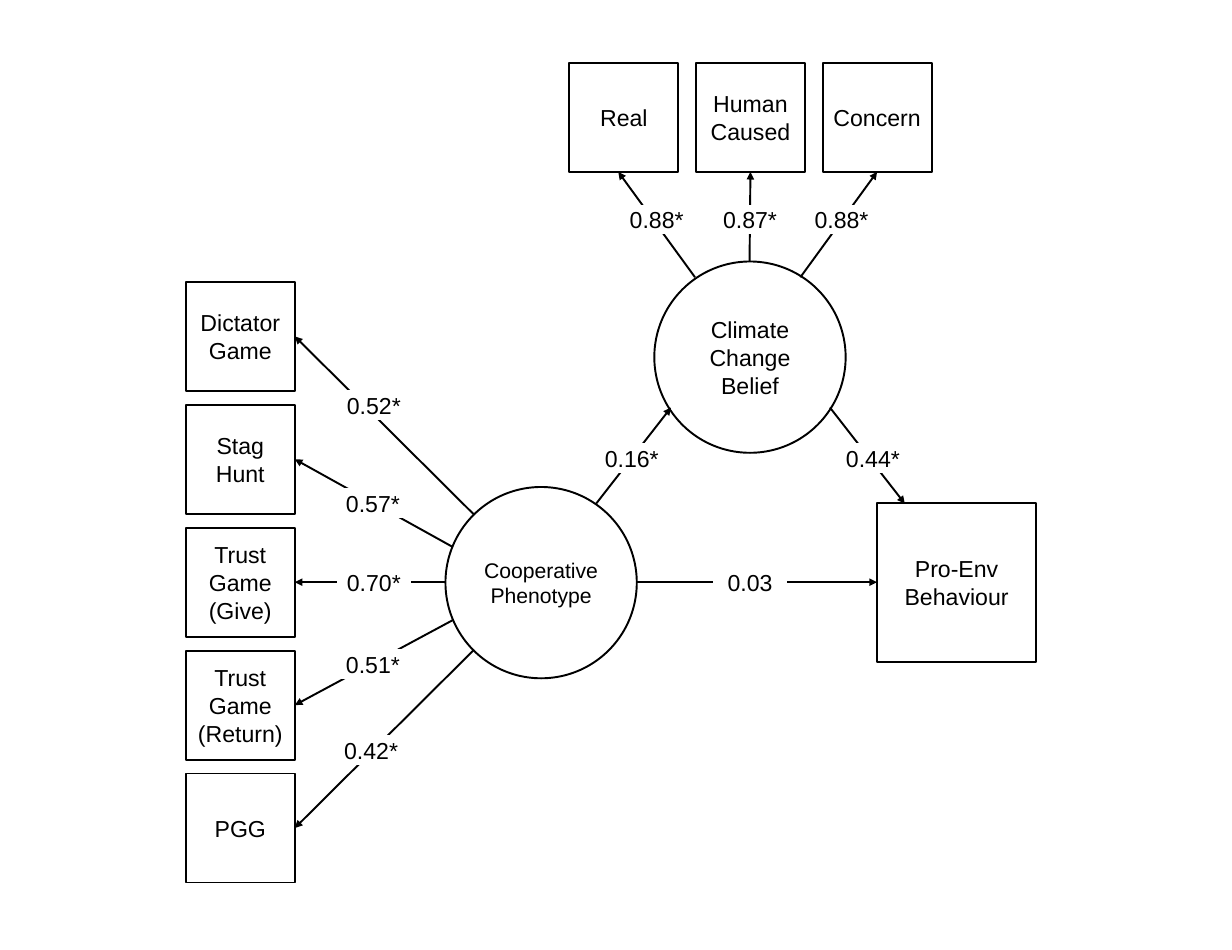
from lxml import etree
from pptx import Presentation
from pptx.dml.color import RGBColor
from pptx.enum.shapes import MSO_CONNECTOR, MSO_SHAPE
from pptx.enum.text import MSO_ANCHOR, PP_ALIGN
from pptx.oxml.ns import qn
from pptx.util import Inches, Pt

RECTANGLE = MSO_SHAPE.RECTANGLE
CIRCLE = MSO_SHAPE.OVAL
STRAIGHT = MSO_CONNECTOR.STRAIGHT
MIDDLE = MSO_ANCHOR.MIDDLE
CENTER = PP_ALIGN.CENTER
LEFT_SIDE, BOTTOM_SIDE, RIGHT_SIDE = 1, 2, 3


def color(hex_string):
    return RGBColor.from_string(hex_string)


class PathDiagram:
    font = "Arial"
    ink = "000000"
    paper = "FFFFFF"
    line_width = 1.5
    box_size = 1.18
    circle_size = 2.07
    label_width, label_height = 0.79, 0.31

    def __init__(self, slide):
        self.slide = slide

    def node(self, kind, text, left, top, width, height, size=18,
             line=ink, line_width=line_width, inset=0.1):
        shape = self.slide.shapes.add_shape(
            kind, Inches(left), Inches(top), Inches(width), Inches(height))
        shape.shadow.inherit = False
        shape.fill.solid()
        shape.fill.fore_color.rgb = color(self.paper)
        shape.line.color.rgb = color(line)
        shape.line.width = Pt(line_width)
        frame = shape.text_frame
        frame.word_wrap = True
        frame.vertical_anchor = MIDDLE
        frame.margin_left = frame.margin_right = Inches(inset)
        frame.margin_top = frame.margin_bottom = Inches(inset / 2)
        frame.text = text
        for paragraph in frame.paragraphs:
            paragraph.alignment = CENTER
            paragraph.font.name = self.font
            paragraph.font.size = Pt(size)
            paragraph.font.color.rgb = color(self.ink)
        return shape

    def box(self, text, left, top, size=box_size):
        return self.node(RECTANGLE, text, left, top, size, size)

    def circle(self, text, left, top, size=18):
        return self.node(CIRCLE, text, left, top, self.circle_size,
                         self.circle_size, size)

    def label(self, text, left, top):
        return self.node(RECTANGLE, text, left, top, self.label_width,
                         self.label_height, line=self.paper, line_width=1,
                         inset=0)

    def arrow(self, start, end, target=None, side=None):
        connector = self.slide.shapes.add_connector(
            STRAIGHT, *(Inches(value) for value in (*start, *end)))
        connector.line.color.rgb = color(self.ink)
        connector.line.width = Pt(self.line_width)
        line = connector.line._get_or_add_ln()
        etree.SubElement(line, qn("a:tailEnd"), type="triangle")
        etree.SubElement(connector._element.spPr, qn("a:effectLst"))
        if target is not None:
            connector.end_connect(target, side)


def main():
    presentation = Presentation()
    presentation.slide_width = Inches(13.33)
    presentation.slide_height = Inches(10.28)
    slide = presentation.slides.add_slide(presentation.slide_layouts[6])
    diagram = PathDiagram(slide)

    # Latent variables and outcome
    diagram.circle("Cooperative\nPhenotype", 4.82, 5.27, 16.5)
    diagram.circle("Climate Change Belief", 7.08, 2.83)
    behaviour = diagram.box("Pro-Env Behaviour", 9.49, 5.44, 1.72)

    # Games: box text, arrow start on the circle
    games = [
        ("Dictator Game", (5.13, 5.57)),
        ("Stag Hunt", (4.9, 5.92)),
        ("Trust Game\n(Give)", (4.82, 6.3)),
        ("Trust Game\n(Return)", (4.9, 6.71)),
        ("PGG", (5.13, 7.03)),
    ]
    for row, (text, start) in enumerate(games):
        top = 3.05 + 1.33 * row
        game = diagram.box(text, 2.01, top)
        diagram.arrow(start, (3.19, top + 0.59), game, RIGHT_SIDE)

    # Belief items: box text, arrow start on the circle, arrow end
    items = [
        ("Real", (7.52, 3), 6.69),
        ("Human Caused", (8.11, 2.83), 8.12),
        ("Concern", (8.66, 3), 9.49),
    ]
    for column, (text, start, end) in enumerate(items):
        left = 6.16 + 1.37 * column
        item = diagram.box(text, left, 0.68)
        centered = abs(left + diagram.box_size / 2 - end) < 0.02
        diagram.arrow(start, (end, 1.86), item if centered else None,
                      BOTTOM_SIDE)

    # Paths between the variables
    diagram.arrow((6.89, 6.3), (9.49, 6.3), behaviour, LEFT_SIDE)
    diagram.arrow((6.45, 5.45), (7.26, 4.41))
    diagram.arrow((8.98, 4.41), (9.79, 5.45))

    # Coefficients
    coefficients = [
        ("0.16*", 6.44, 4.8), ("0.44*", 9.05, 4.8), ("0.03", 7.72, 6.15),
        ("0.52*", 3.65, 4.23), ("0.57*", 3.64, 5.29), ("0.70*", 3.65, 6.15),
        ("0.51*", 3.64, 7.03), ("0.42*", 3.62, 7.96),
        ("0.88*", 6.71, 2.22), ("0.87*", 7.72, 2.22), ("0.88*", 8.71, 2.22),
    ]
    for text, left, top in coefficients:
        diagram.label(text, left, top)

    presentation.save("out.pptx")


if __name__ == "__main__":
    main()
